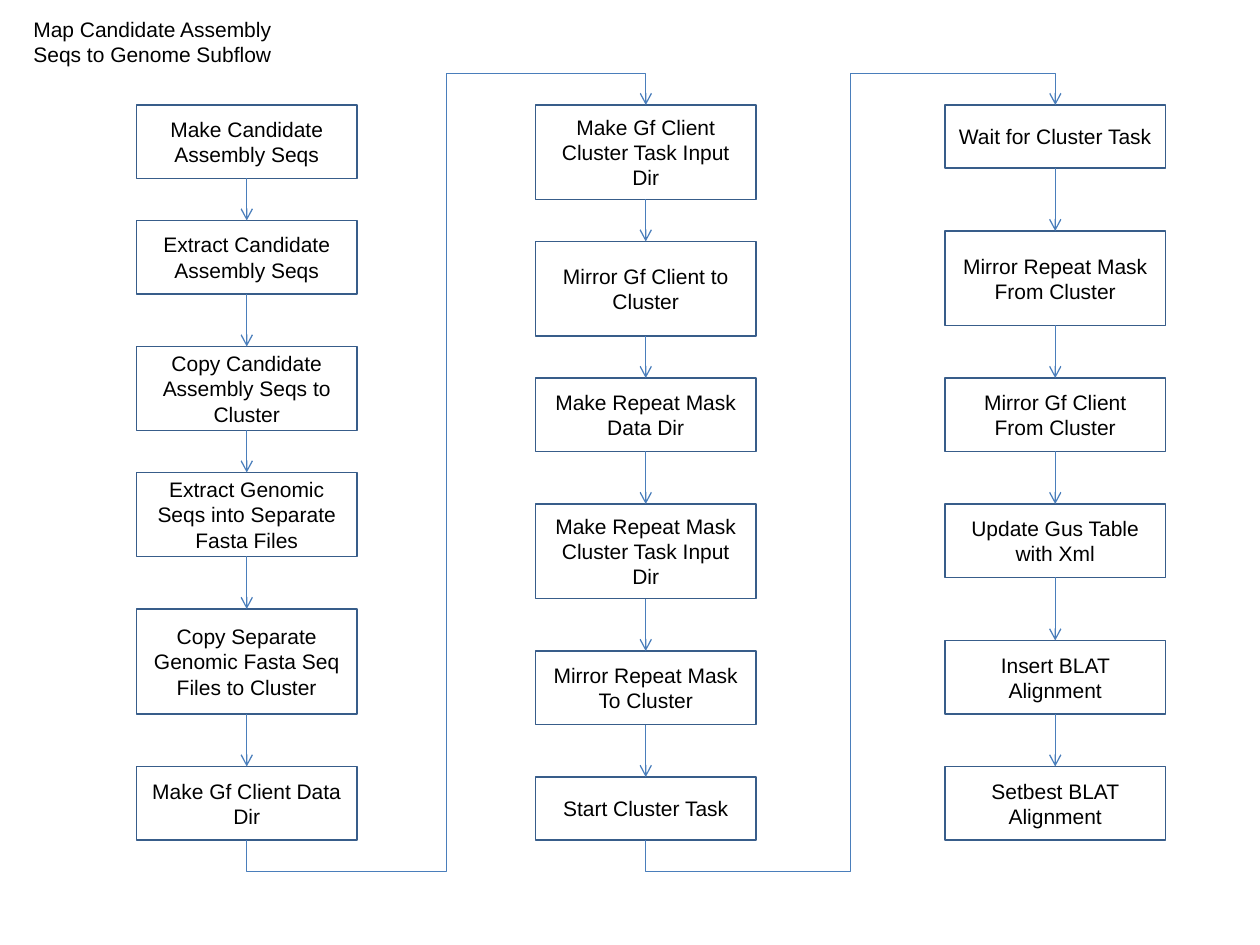
from lxml.etree import SubElement
from pptx import Presentation
from pptx.dml.color import RGBColor
from pptx.enum.shapes import MSO_CONNECTOR as Link, MSO_SHAPE as Shape
from pptx.enum.text import MSO_ANCHOR as Anchor, PP_ALIGN as Align
from pptx.oxml.ns import qn
from pptx.util import Pt

PX = 9525
BOX_WIDTH = 168
DETOUR = 24
TOP, BOTTOM = 0, 2
BLACK, BORDER, ARROW = "000000", "385D8A", "4A7EBB"
TITLE = ["Map Candidate Assembly", "Seqs to Genome Subflow"]
COLUMNS = [
    (104, [
        (80, 56, "Make Candidate Assembly Seqs"),
        (168, 56, "Extract Candidate Assembly Seqs"),
        (264, 64, "Copy Candidate Assembly Seqs to Cluster"),
        (360, 64, "Extract Genomic Seqs into Separate Fasta Files"),
        (464, 80, "Copy Separate Genomic Fasta Seq Files to Cluster"),
        (584, 56, "Make Gf Client Data Dir"),
    ]),
    (408, [
        (80, 72, "Make Gf Client Cluster Task Input Dir"),
        (184, 72, "Mirror Gf Client to Cluster"),
        (288, 56, "Make Repeat Mask Data Dir"),
        (384, 72, "Make Repeat Mask Cluster Task Input Dir"),
        (496, 56, "Mirror Repeat Mask To Cluster"),
        (592, 48, "Start Cluster Task"),
    ]),
    (720, [
        (80, 48, "Wait for Cluster Task"),
        (176, 72, "Mirror Repeat Mask From Cluster"),
        (288, 56, "Mirror Gf Client From Cluster"),
        (384, 56, "Update Gus Table with Xml"),
        (488, 56, "Insert BLAT Alignment"),
        (584, 56, "Setbest BLAT Alignment"),
    ]),
]


def px(*lengths):
    """Turn pixel lengths into EMU."""
    return [length * PX for length in lengths]


def color(code):
    """Turn a hex string into a colour."""
    return RGBColor.from_string(code)


def apply(target, values):
    """Set each attribute named in a dict."""
    for name, value in values.items():
        setattr(target, name, value)


def write(box, lines, anchor, align):
    """Fill a box with one paragraph per line."""
    frame = box.text_frame
    apply(frame, {"word_wrap": True, "vertical_anchor": anchor})
    for index, line in enumerate(lines):
        para = frame.add_paragraph() if index else frame.paragraphs[0]
        para.alignment = align
        span = para.add_run()
        span.text = line
        apply(span.font, {"name": "Arial", "size": Pt(12)})
        span.font.color.rgb = color(BLACK)


def add_title(page):
    """Add the title at the top left."""
    box = page.shapes.add_textbox(*px(16, 8, 216, 48))
    write(box, TITLE, Anchor.TOP, Align.LEFT)


def add_step(page, left, top, height, text):
    """Add one outlined step of the flow."""
    box = page.shapes.add_shape(Shape.RECTANGLE, *px(left, top, BOX_WIDTH, height))
    box.shadow.inherit = False
    box.fill.background()
    box.line.color.rgb = color(BORDER)
    box.line.width = Pt(1)
    write(box, [text], Anchor.MIDDLE, Align.CENTER)
    return box


def add_arrow(page, source, target, kind=Link.STRAIGHT):
    """Join the bottom of one step to the top of another."""
    arrow = page.shapes.add_connector(kind, 0, 0, 0, 0)
    arrow.begin_connect(source, BOTTOM)
    arrow.end_connect(target, TOP)
    arrow.line.color.rgb = color(ARROW)
    arrow.line.width = Pt(0.75)
    SubElement(arrow.line._get_or_add_ln(), qn("a:tailEnd"), type="arrow")
    SubElement(arrow._element.spPr, qn("a:effectLst"))
    return arrow


def add_detour(page, source, target):
    """Lead from the foot of a column to the head of the next."""
    arrow = add_arrow(page, source, target, Link.ELBOW)
    run, rise = arrow.width, arrow.height
    middle_x, middle_y = arrow.left + run // 2, arrow.top + rise // 2
    apply(arrow, {"left": middle_x - rise // 2, "top": middle_y - run // 2,
                  "width": rise, "height": run})
    properties = arrow._element.spPr
    frame = properties.find(qn("a:xfrm"))
    apply_xml = {"rot": "5400000", "flipH": "1", "flipV": "1"}
    for name, value in apply_xml.items():
        frame.set(name, value)
    shape = properties.find(qn("a:prstGeom"))
    shape.set("prst", "bentConnector5")
    guides = shape.find(qn("a:avLst"))
    overshoot = round(DETOUR * PX / rise * 100000)
    for index, value in enumerate([-overshoot, 50000, 100000 + overshoot], 1):
        SubElement(guides, qn("a:gd"), name=f"adj{index}", fmla=f"val {value}")


def main():
    """Build the flow chart and save it."""
    deck = Presentation()
    apply(deck, {"slide_width": 960 * PX, "slide_height": 720 * PX})
    page = deck.slides.add_slide(deck.slide_layouts[6])
    add_title(page)
    columns = [[add_step(page, left, *step) for step in steps]
               for left, steps in COLUMNS]
    for column in columns:
        for source, target in zip(column, column[1:]):
            add_arrow(page, source, target)
    for column, following in zip(columns, columns[1:]):
        add_detour(page, column[-1], following[0])
    deck.save("out.pptx")


if __name__ == "__main__":
    main()
